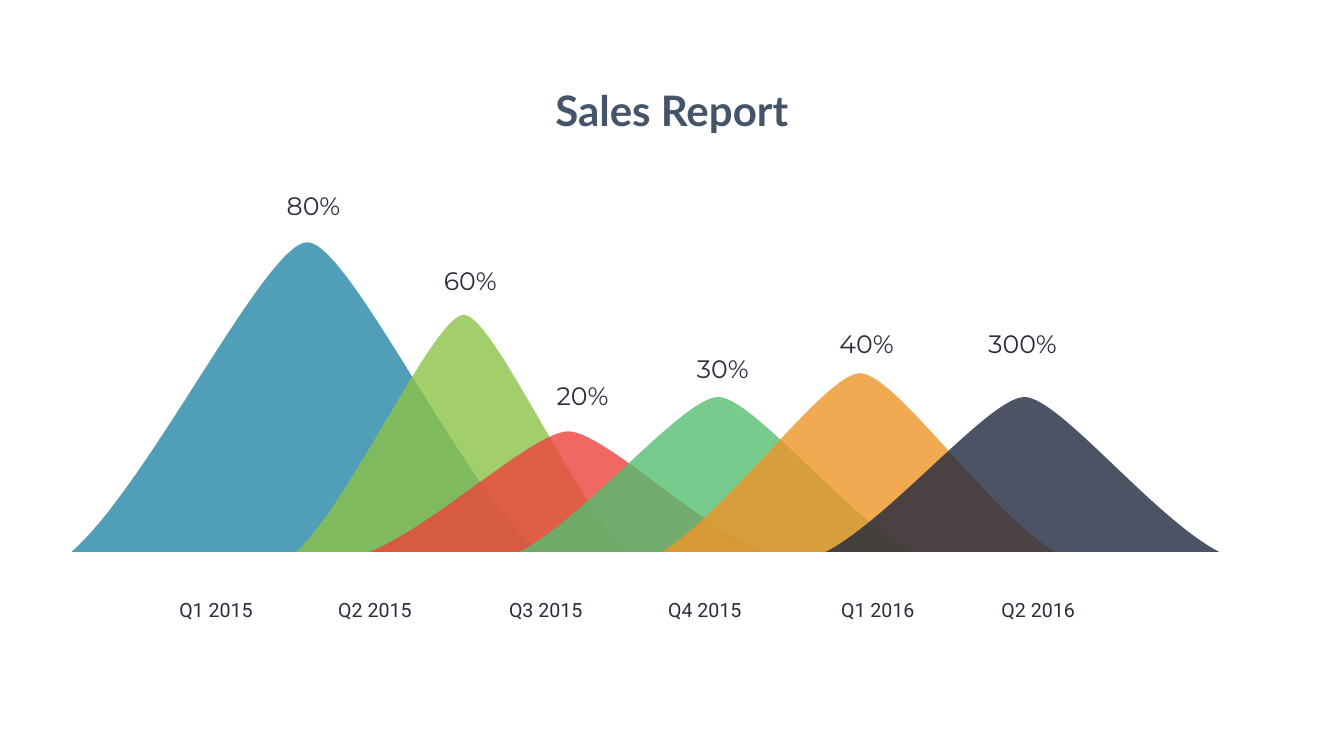
from lxml.etree import Element, SubElement
from pptx import Presentation
from pptx.dml.color import RGBColor
from pptx.enum.text import MSO_ANCHOR, MSO_AUTO_SIZE, PP_ALIGN
from pptx.oxml.ns import qn
from pptx.util import Cm, Pt

BLUE = RGBColor(0x26, 0x86, 0xA7)
LIME = RGBColor(0x8B, 0xC2, 0x48)
RED = RGBColor(0xED, 0x42, 0x3D)
GREEN = RGBColor(0x54, 0xBE, 0x71)
ORANGE = RGBColor(0xEF, 0x95, 0x27)
NAVY = RGBColor(0x20, 0x29, 0x3E)
INK = RGBColor(0x27, 0x2E, 0x3A)
SLATE = RGBColor(0x44, 0x54, 0x69)

BASELINE = 27.81
QUARTER_TOP = 30.02
LABEL_WIDTH = 4.93
SUMMIT = 0.505
RISE_HANDLES = ((1 / 6, 0.22), (0.417, 1))
FALL_HANDLES = ((0.593, 1), (5 / 6, 0.22))

PEAKS = (
    (3.61, 23.52, 15.6, BLUE),
    (14.94, 16.71, 11.94, LIME),
    (18.64, 19.81, 6.07, RED),
    (26.19, 19.81, 7.8, GREEN),
    (33.35, 19.81, 9, ORANGE),
    (41.63, 19.81, 7.8, NAVY),
)
QUARTERS = (
    ("Q1 2015", 8.42),
    ("Q2 2015", 16.43),
    ("Q3 2015", 25.04),
    ("Q4 2015", 33.06),
    ("Q1 2016", 41.78),
    ("Q2 2016", 49.86),
)
SHARES = (
    ("80%", 13.34, 9.47),
    ("60%", 21.24, 13.23),
    ("20%", 26.9, 19.05),
    ("30%", 33.97, 17.67),
    ("40%", 41.21, 16.43),
    ("300%", 49.08, 16.43),
)


class SalesReport:
    def __init__(self, page):
        self.page = page
        self.mountains = page.shapes.add_group_shape()

    def peak(self, left, width, height, color):
        start = (Cm(left), Cm(BASELINE))
        summit = (Cm(left + SUMMIT * width), Cm(BASELINE - height))
        end = (Cm(left + width), Cm(BASELINE))
        builder = self.mountains.shapes.build_freeform(*start)
        builder.add_line_segments([summit, end, start], close=True)
        shape = builder.convert_to_shape()
        slopes = shape.element.findall(".//" + qn("a:lnTo"))
        for slope, handles in zip(slopes, (RISE_HANDLES, FALL_HANDLES)):
            slope.tag = qn("a:cubicBezTo")
            for index, (x, y) in enumerate(handles):
                handle = Element(qn("a:pt"))
                handle.set("x", str(Cm(x * width)))
                handle.set("y", str(Cm((1 - y) * height)))
                slope.insert(index, handle)
        shape.shadow.inherit = False
        shape.line.fill.background()
        shape.fill.solid()
        shape.fill.fore_color.rgb = color
        tint = shape.element.spPr.find(".//" + qn("a:srgbClr"))
        SubElement(tint, qn("a:alpha"), val="80000")

    def text(self, words, left, top, width, height, font, size, color, bold=False):
        box = self.page.shapes.add_textbox(Cm(left), Cm(top), Cm(width), Cm(height))
        frame = box.text_frame
        frame.word_wrap = True
        para = frame.paragraphs[0]
        para.alignment = PP_ALIGN.CENTER
        span = para.add_run()
        span.text = words
        span.font.name = font
        span.font.size = Pt(size)
        span.font.bold = bold
        span.font.color.rgb = color
        return box

    def label(self, words, left, top, height, font, size):
        box = self.text(words, left, top, LABEL_WIDTH, height, font, size, INK)
        box.text_frame.auto_size = MSO_AUTO_SIZE.SHAPE_TO_FIT_TEXT

    def title(self, words):
        box = self.text(words, 4.65, 2.03, 58.42, 7.37, "Lato", 60, SLATE, True)
        box.text_frame.vertical_anchor = MSO_ANCHOR.MIDDLE
        box.text_frame.paragraphs[0].line_spacing = 0.9


def main():
    deck = Presentation()
    deck.slide_width = Cm(67.74)
    deck.slide_height = Cm(38.1)
    report = SalesReport(deck.slides.add_slide(deck.slide_layouts[6]))
    for peak in PEAKS:
        report.peak(*peak)
    for quarter, left in QUARTERS:
        report.label(quarter, left, QUARTER_TOP, 1.45, "Roboto", 28)
    for share, left, top in SHARES:
        report.label(share, left, top, 1.8, "Montserrat", 36)
    report.title("Sales Report")
    deck.save("out.pptx")


if __name__ == "__main__":
    main()
